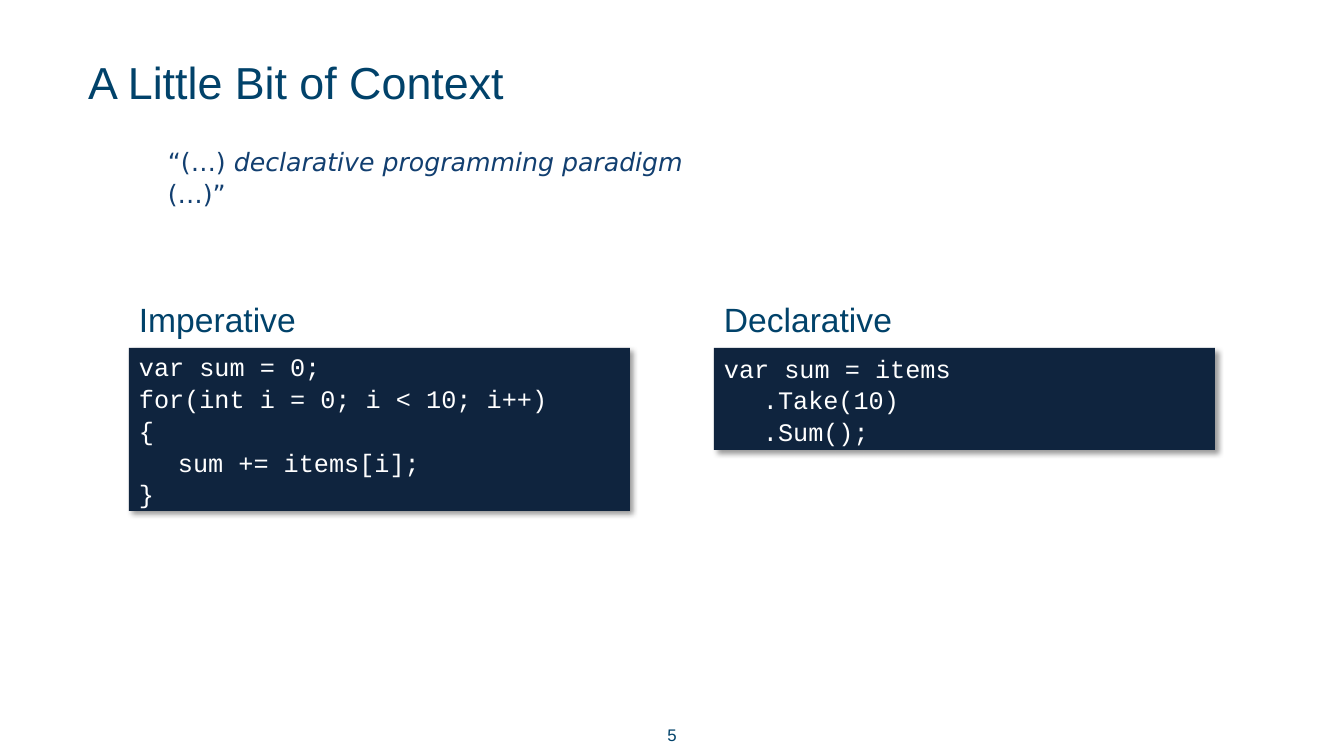
from lxml import etree
from pptx import Presentation
from pptx.dml.color import RGBColor
from pptx.enum.shapes import MSO_SHAPE
from pptx.enum.text import MSO_ANCHOR, PP_ALIGN
from pptx.oxml import parse_xml
from pptx.oxml.ns import nsdecls, qn
from pptx.util import Pt

RECTANGLE = MSO_SHAPE.RECTANGLE
TOP, MIDDLE, BOTTOM = MSO_ANCHOR.TOP, MSO_ANCHOR.MIDDLE, MSO_ANCHOR.BOTTOM
LEFT, CENTER = PP_ALIGN.LEFT, PP_ALIGN.CENTER

TITLE = "A Little Bit of Context"
QUOTE = [("“(…) ", False), ("declarative programming paradigm ", True), ("(…)”", False)]
PAGE_NUMBER = "5"
EXAMPLES = [
    ("Imperative", 163, ["var sum = 0;", "for(int i = 0; i < 10; i++)", "{",
                         "\tsum += items[i];", "}"]),
    ("Declarative", 102, ["var sum = items", "\t.Take(10)", "\t.Sum();"]),
]

HEADING_BLUE, QUOTE_BLUE, CODE_NAVY, WHITE = "01426A", "123F70", "0F243E", "FFFFFF"
PX = 914400 / 100.8
COLUMN_LEFT, COLUMN_STEP, COLUMN_WIDTH = 129, 585, 501
HEADING_TOP, HEADING_HEIGHT = 290, 58
CODE_TOP = HEADING_TOP + HEADING_HEIGHT
TAB_STOP = 39
LINE_SPACING = 1.05


def px(length):
    return round(length * PX)


def color(hex_code):
    return RGBColor.from_string(hex_code)


def place(shape, left, top, width, height):
    shape.left, shape.top, shape.width, shape.height = map(px, (left, top, width, height))


def style(paragraph, font_name, size, font_color, alignment=LEFT):
    paragraph.alignment = alignment
    paragraph.font.name = font_name
    paragraph.font.size = Pt(size)
    paragraph.font.color.rgb = color(font_color)


def write(shape, lines, font_name, size, font_color, anchor=MIDDLE, alignment=LEFT):
    """Fill a shape with one paragraph per line and return the paragraphs."""
    frame = shape.text_frame
    frame.word_wrap = True
    frame.vertical_anchor = anchor
    frame.text = "\n".join(lines)
    for paragraph in frame.paragraphs:
        style(paragraph, font_name, size, font_color, alignment)
    return frame.paragraphs


def add_text(slide, box, *args, **options):
    textbox = slide.shapes.add_textbox(*map(px, box))
    write(textbox, *args, **options)


def add_quote(slide):
    textbox = slide.shapes.add_textbox(*map(px, (158, 140, 590, 40)))
    frame = textbox.text_frame
    frame.word_wrap = True
    frame.vertical_anchor = TOP
    paragraph = frame.paragraphs[0]
    paragraph.line_spacing = LINE_SPACING
    style(paragraph, "DejaVu Sans", 18, QUOTE_BLUE)
    for text, italic in QUOTE:
        run = paragraph.add_run()
        run.text = text
        run.font.italic = italic


def add_shadow(shape):
    shape.shadow.inherit = False
    effects = shape._element.spPr.find(qn("a:effectLst"))
    effects.append(parse_xml(
        f'<a:outerShdw {nsdecls("a")} blurRad="{Pt(4)}" dist="{Pt(3)}" dir="2700000" '
        'algn="tl" rotWithShape="0"><a:srgbClr val="000000"><a:alpha val="40000"/>'
        '</a:srgbClr></a:outerShdw>'))


def add_tab_stop(paragraph):
    properties = paragraph._p.get_or_add_pPr()
    tabs = etree.Element(qn("a:tabLst"))
    etree.SubElement(tabs, qn("a:tab"), pos=str(px(TAB_STOP)), algn="l")
    properties.find(qn("a:defRPr")).addprevious(tabs)


def add_code(slide, left, height, lines):
    box = slide.shapes.add_shape(RECTANGLE, *map(px, (left, CODE_TOP, COLUMN_WIDTH, height)))
    box.fill.solid()
    box.fill.fore_color.rgb = color(CODE_NAVY)
    box.line.fill.background()
    add_shadow(box)
    for paragraph in write(box, lines, "Courier New", 18, WHITE):
        paragraph.line_spacing = LINE_SPACING
        add_tab_stop(paragraph)


def main():
    presentation = Presentation()
    presentation.slide_width, presentation.slide_height = px(1344), px(756)
    slide = presentation.slides.add_slide(presentation.slide_layouts[5])

    title = slide.shapes.title
    place(title, 78, 46, 1088, 72)
    write(title, [TITLE], "Arial", 32, HEADING_BLUE)
    add_quote(slide)
    for index, (heading, code_height, lines) in enumerate(EXAMPLES):
        left = COLUMN_LEFT + index * COLUMN_STEP
        add_code(slide, left, code_height, lines)
        add_text(slide, (left, HEADING_TOP, COLUMN_WIDTH, HEADING_HEIGHT),
                 [heading], "Arial", 24, HEADING_BLUE)
    add_text(slide, (496, 718, 352, 32), [PAGE_NUMBER], "Arial", 12, HEADING_BLUE,
             anchor=BOTTOM, alignment=CENTER)
    presentation.save("out.pptx")


if __name__ == "__main__":
    main()
